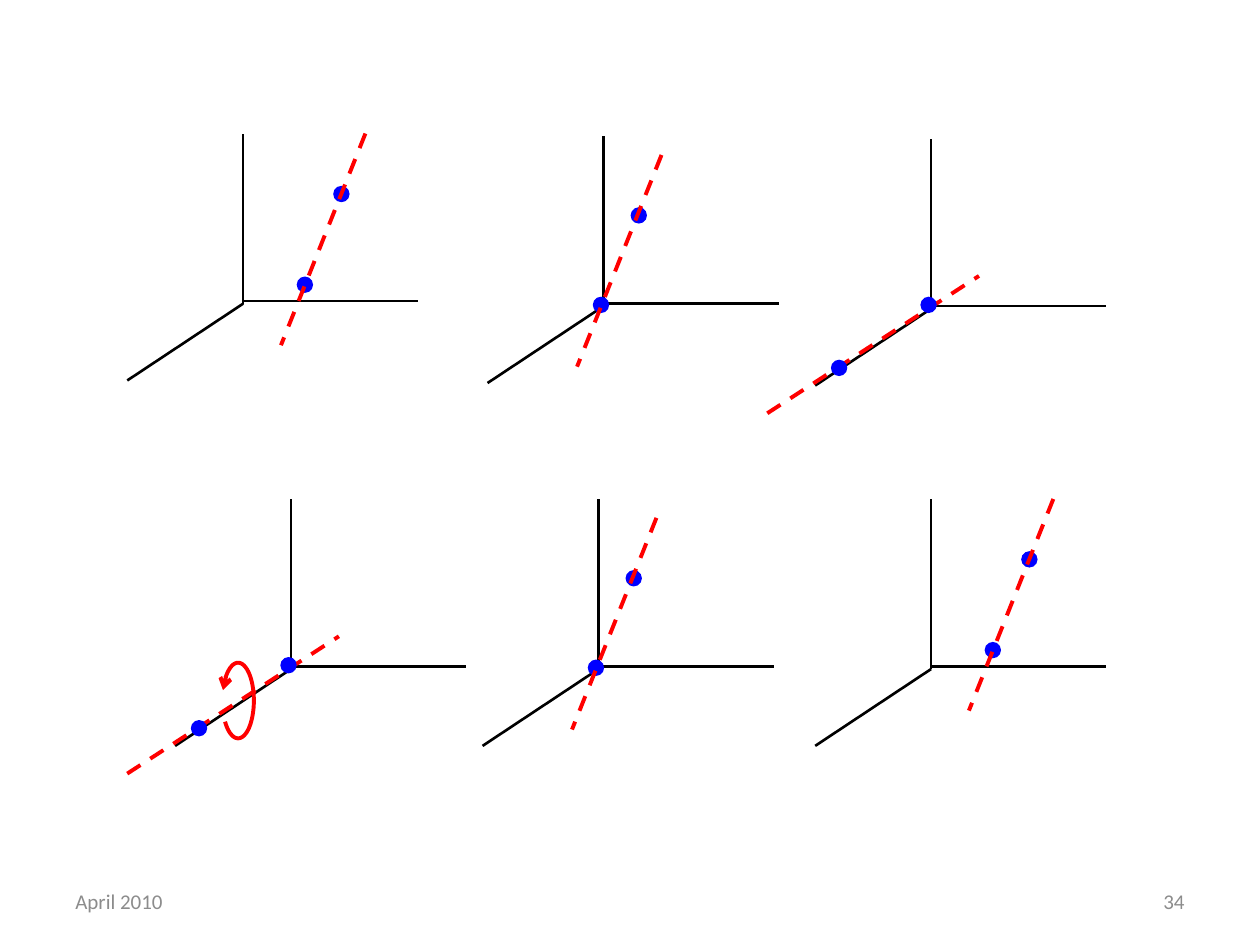
from math import cos, radians, sin

from lxml import etree
from pptx import Presentation
from pptx.dml.color import RGBColor
from pptx.enum.dml import MSO_LINE
from pptx.enum.shapes import MSO_CONNECTOR, MSO_SHAPE
from pptx.enum.text import MSO_ANCHOR, PP_ALIGN
from pptx.oxml.ns import qn
from pptx.util import Inches, Pt

BLACK = RGBColor(0x00, 0x00, 0x00)
RED = RGBColor(0xFF, 0x00, 0x00)
BLUE = RGBColor(0x00, 0x00, 0xFF)
GRAY = RGBColor(0x8C, 0x8C, 0x8C)
STRAIGHT = MSO_CONNECTOR.STRAIGHT
OVAL = MSO_SHAPE.OVAL
DASH = MSO_LINE.DASH
MIDDLE = MSO_ANCHOR.MIDDLE
LEFT, RIGHT = PP_ALIGN.LEFT, PP_ALIGN.RIGHT

# Ends are offsets from the origin of the coordinate system.
AXES = [((-0.92, 0.61), (0, 0)), ((0, 0), (0, -1.35)), ((0, -0.02), (1.39, -0.02))]

# Each pose: rotation axis start and end, then the two points on it.
INITIAL = ((0.97, -1.35), (0.3, 0.33), [(0.78, -0.87), (0.49, -0.15)])
THROUGH_ORIGIN = ((0.46, -1.2), (-0.21, 0.48), [(0.28, -0.72), (-0.02, -0.01)])
ALONG_Z = ((-1.3, 0.83), (0.38, -0.26), [(-0.02, -0.03), (-0.73, 0.47)])

STEPS = [
    ((1.93, 2.41), INITIAL),
    ((4.79, 2.43), THROUGH_ORIGIN),
    ((7.39, 2.45), ALONG_Z),
    ((2.31, 5.31), ALONG_Z),
    ((4.75, 5.31), THROUGH_ORIGIN),
    ((7.39, 5.31), INITIAL),
]
ROTATION_STEP = 3


class Diagram:
    font = "Calibri"
    footer_size = Pt(12)
    axis_width = Pt(1.5)
    rotation_width = Pt(2.25)
    dot = 0.13

    def __init__(self, slide):
        self.slide = slide

    def footer(self, text, left, align):
        box = self.slide.shapes.add_textbox(
            Inches(left), Inches(6.95), Inches(2.33), Inches(0.4))
        frame = box.text_frame
        frame.word_wrap = True
        frame.vertical_anchor = MIDDLE
        paragraph = frame.paragraphs[0]
        paragraph.alignment = align
        run = paragraph.add_run()
        run.text = text
        run.font.name = self.font
        run.font.size = self.footer_size
        run.font.color.rgb = GRAY

    def line(self, group, origin, start, end, color, width, dash=None):
        x, y = origin
        line = group.shapes.add_connector(
            STRAIGHT, Inches(x + start[0]), Inches(y + start[1]),
            Inches(x + end[0]), Inches(y + end[1]))
        line.line.color.rgb = color
        line.line.width = width
        if dash is not None:
            line.line.dash_style = dash
        properties = line._element.find(qn("p:spPr"))
        etree.SubElement(properties, qn("a:effectLst"))

    def point(self, group, origin, center):
        left, top = (o + c - self.dot / 2 for o, c in zip(origin, center))
        dot = group.shapes.add_shape(
            OVAL, Inches(left), Inches(top), Inches(self.dot), Inches(self.dot))
        dot.shadow.inherit = False
        dot.fill.solid()
        dot.fill.fore_color.rgb = BLUE
        dot.line.fill.background()

    def rotation_arrow(self, group, origin):
        """Draw an open elliptical arc around the z axis, ending in an arrowhead."""
        center_x, center_y = origin[0] - 0.42, origin[1] + 0.25
        arc = [(Inches(center_x + 0.125 * cos(radians(angle))),
                Inches(center_y + 0.3 * sin(radians(angle))))
               for angle in range(146, -165, -5)]
        builder = group.shapes.build_freeform(*arc[0])
        builder.add_line_segments(arc[1:], close=False)
        arrow = builder.convert_to_shape()
        arrow.shadow.inherit = False
        arrow.fill.background()
        arrow.line.color.rgb = RED
        arrow.line.width = self.rotation_width
        outline = arrow._element.spPr.find(qn("a:ln"))
        etree.SubElement(outline, qn("a:tailEnd"), type="arrow")

    def step(self, origin, pose, rotating):
        start, end, points = pose
        group = self.slide.shapes.add_group_shape()
        for axis_start, axis_end in AXES:
            self.line(group, origin, axis_start, axis_end, BLACK, self.axis_width)
        points_on_top = pose is ALONG_Z
        if not points_on_top:
            self.points(group, origin, points)
        self.line(group, origin, start, end, RED, self.rotation_width, DASH)
        if points_on_top:
            self.points(group, origin, points)
        if rotating:
            self.rotation_arrow(group, origin)

    def points(self, group, origin, centers):
        for center in centers:
            self.point(group, origin, center)


def main():
    presentation = Presentation()
    presentation.slide_width = Inches(10)
    presentation.slide_height = Inches(7.5)
    diagram = Diagram(presentation.slides.add_slide(presentation.slide_layouts[6]))
    diagram.footer("April 2010", 0.5, LEFT)
    diagram.footer("34", 7.17, RIGHT)
    for index, (origin, pose) in enumerate(STEPS):
        diagram.step(origin, pose, index == ROTATION_STEP)
    presentation.save("out.pptx")


if __name__ == "__main__":
    main()
